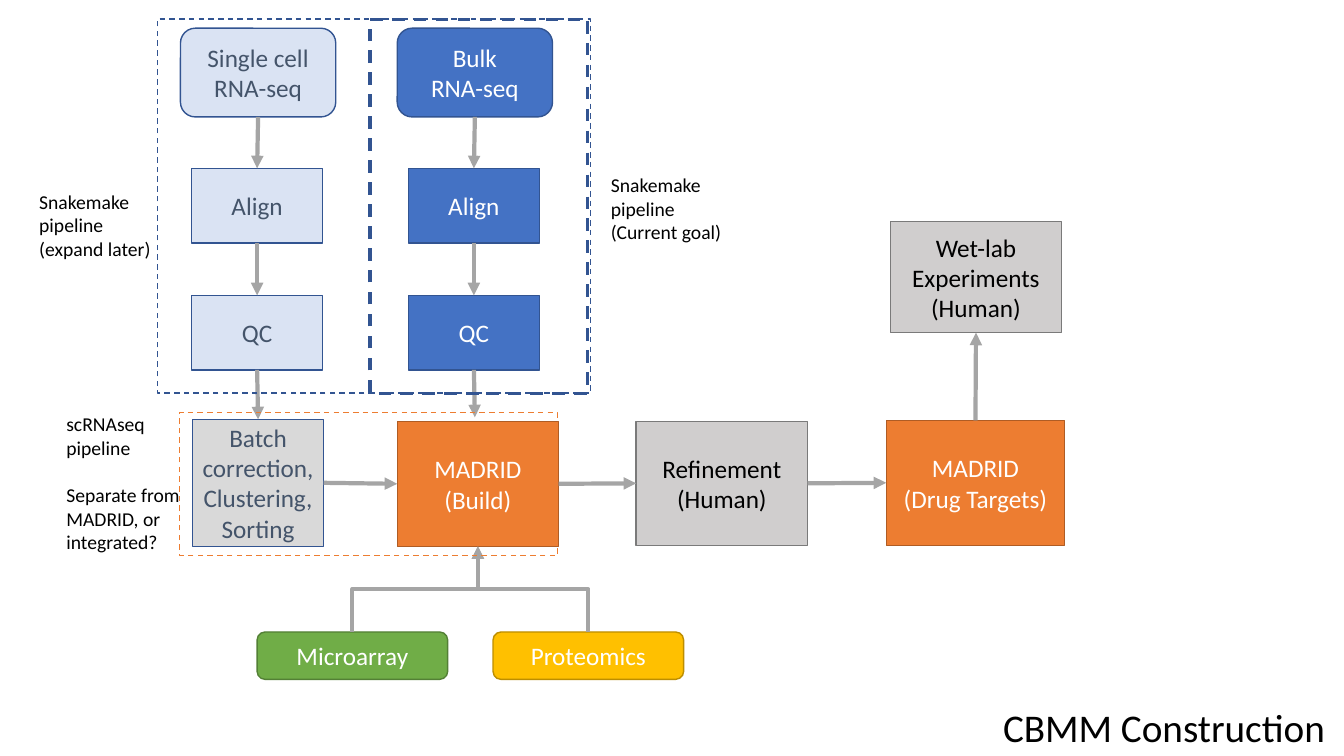
from dataclasses import dataclass

from lxml import etree
from pptx import Presentation
from pptx import util as u
from pptx.dml.color import RGBColor
from pptx.enum import dml, shapes, text
from pptx.oxml.ns import qn

TOP, LEFT, BOTTOM, RIGHT = range(4)
RECT = shapes.MSO_SHAPE.RECTANGLE
ROUNDED = shapes.MSO_SHAPE.ROUNDED_RECTANGLE


@dataclass(frozen=True)
class Theme:
    font: str = "Calibri"
    title: int = 28
    body: int = 18
    note: int = 14
    black: str = "000000"
    white: str = "FFFFFF"
    slate: str = "44546A"
    navy: str = "325491"
    blue: str = "4472C4"
    pale_blue: str = "DAE3F3"
    pale_gray: str = "D9D9D9"
    gray: str = "D0CECE"
    gray_edge: str = "7A7A7A"
    arrow: str = "A5A5A5"
    orange: str = "ED7D31"
    orange_edge: str = "AF5C24"
    gold: str = "FFC000"
    gold_edge: str = "BD8E00"
    green: str = "70AD47"
    green_edge: str = "538035"


def grid(n):
    """Length of n grid columns or rows; ten make an inch."""
    return u.Inches(n / 10)


def write(tf, lines, *, font, size, color, align=None, gap=0):
    """Put each line in its own paragraph, with gap points between them."""
    tf.word_wrap = True
    for i, line in enumerate(lines):
        p = tf.add_paragraph() if i else tf.paragraphs[0]
        p.alignment = align
        if i and gap:
            p.space_before = u.Pt(gap)
        r = p.add_run()
        r.text = line
        r.font.name, r.font.size = font, u.Pt(size)
        r.font.color.rgb = RGBColor.from_string(color)


class Diagram:
    def __init__(self, slide, theme):
        self.s, self.t = slide, theme

    def shape(self, kind, at, fill, edge, weight=1):
        sp = self.s.shapes.add_shape(kind, *map(grid, at))
        sp.shadow.inherit = False
        if fill:
            sp.fill.solid()
            sp.fill.fore_color.rgb = RGBColor.from_string(fill)
        else:
            sp.fill.background()
        sp.line.color.rgb = RGBColor.from_string(edge)
        sp.line.width = u.Pt(weight)
        return sp

    def box(self, lines, at, fill, edge, color, kind=RECT):
        sp = self.shape(kind, at, fill, edge)
        sp.text_frame.vertical_anchor = text.MSO_ANCHOR.MIDDLE
        write(sp.text_frame, lines, font=self.t.font, size=self.t.body,
              color=color, align=text.PP_ALIGN.CENTER)
        return sp

    def frame(self, at, edge, weight=1):
        sp = self.shape(RECT, at, None, edge, weight)
        sp.line.dash_style = dml.MSO_LINE.DASH

    def label(self, lines, at, size, gap=0):
        sp = self.s.shapes.add_textbox(*map(grid, at))
        write(sp.text_frame, lines, font=self.t.font, size=size,
              color=self.t.black, gap=gap)

    def connector(self, kind, start, end):
        c = self.s.shapes.add_connector(kind, 0, 0, 0, 0)
        c.begin_connect(*start)
        if isinstance(end[0], (int, float)):
            c.end_x, c.end_y = map(grid, end)
        else:
            c.end_connect(*end)
        c.line.color.rgb = RGBColor.from_string(self.t.arrow)
        c.line.width = u.Pt(3)
        etree.SubElement(c.line._get_or_add_ln(), qn("a:tailEnd"), type="triangle")
        etree.SubElement(c._element.spPr, qn("a:effectLst"))
        return c

    def arrow(self, start, end):
        """Straight arrow from (shape, side) to (shape, side) or (column, row)."""
        self.connector(shapes.MSO_CONNECTOR.STRAIGHT, start, end)

    def riser(self, source, target):
        """Elbow arrow going up from the top of source to the bottom of target."""
        c = self.connector(shapes.MSO_CONNECTOR.ELBOW, (source, TOP), (target, BOTTOM))
        x1, y1, x2, y2 = c.begin_x, c.begin_y, c.end_x, c.end_y
        width, height = y1 - y2, abs(x2 - x1)
        xfrm = c._element.spPr.find(qn("a:xfrm"))
        xfrm.attrib.clear()
        xfrm.set("rot", str(270 * 60000))
        if x1 > x2:
            xfrm.set("flipV", "1")
        c.left, c.top = (x1 + x2 - width) // 2, (y1 + y2 - height) // 2
        c.width, c.height = width, height


def main():
    prs = Presentation()
    prs.slide_width, prs.slide_height = u.Inches(13.33), u.Inches(7.5)
    t = Theme()
    d = Diagram(prs.slides.add_slide(prs.slide_layouts[6]), t)

    def sequencing_lane(name, left, fill, color):
        """Stack the input, Align and QC; return QC."""
        source = d.box([name, "RNA-seq"], (left, 2.8, 15.4, 8.8),
                       fill, t.navy, color, ROUNDED)
        align, qc = (d.box([step], (left + 1.1, top, 13, 7.4), fill, t.navy, color)
                     for step, top in (("Align", 16.7), ("QC", 29.3)))
        d.arrow((source, BOTTOM), (align, TOP))
        d.arrow((align, BOTTOM), (qc, TOP))
        return qc

    bulk_qc = sequencing_lane("Bulk", 39.4, t.blue, t.white)
    cell_qc = sequencing_lane("Single cell", 17.9, t.pale_blue, t.slate)

    batch = d.box(["Batch correction,", "Clustering,", "Sorting"],
                  (19.1, 41.6, 13, 12.6), t.pale_gray, t.navy, t.slate)
    build = d.box(["MADRID", "(Build)"], (39.4, 41.8, 16, 12.4),
                  t.orange, t.orange_edge, t.white)
    refinement = d.box(["Refinement", "(Human)"], (63.1, 41.8, 17, 12.3),
                       t.gray, t.gray_edge, t.black)
    targets = d.box(["MADRID", "(Drug Targets)"], (87.9, 41.7, 17.7, 12.4),
                    t.orange, t.orange_edge, t.white)
    wet_lab = d.box(["Wet-lab Experiments", "(Human)"], (88.3, 22, 17, 11),
                    t.gray, t.gray_edge, t.black)

    d.arrow((cell_qc, BOTTOM), (batch, TOP))
    d.arrow((bulk_qc, BOTTOM), (47.1, 41.4))
    flow = (batch, build, refinement, targets)
    for before, after in zip(flow, flow[1:]):
        d.arrow((before, RIGHT), (after, LEFT))
    d.arrow((targets, TOP), (wet_lab, BOTTOM))

    for name, left, fill, edge in (("Proteomics", 48.9, t.gold, t.gold_edge),
                                   ("Microarray", 25.5, t.green, t.green_edge)):
        assay = d.box([name], (left, 62.7, 18.9, 4.7), fill, edge, t.white, ROUNDED)
        d.riser(assay, build)

    d.frame((36.7, 1.9, 21.6, 37.1), t.navy, 2.25)
    d.frame((15.6, 1.9, 43, 37.1), t.navy)
    d.frame((17.8, 40.9, 37.5, 14.2), t.orange)

    d.label(["Snakemake pipeline", "(Current goal)"], (59.6, 16.7, 15.3, 8.1), t.note)
    d.label(["Snakemake pipeline", "(expand later)"], (2.9, 18.3, 16.7, 8.1), t.note)
    d.label(["scRNAseq pipeline", "Separate from MADRID, or integrated?"],
            (5.6, 40.4, 15.3, 15.1), t.note, gap=17)
    d.label(["CBMM Construction"], (98.5, 69.3, 43.7, 5.7), t.title)
    prs.save("out.pptx")


if __name__ == "__main__":
    main()
